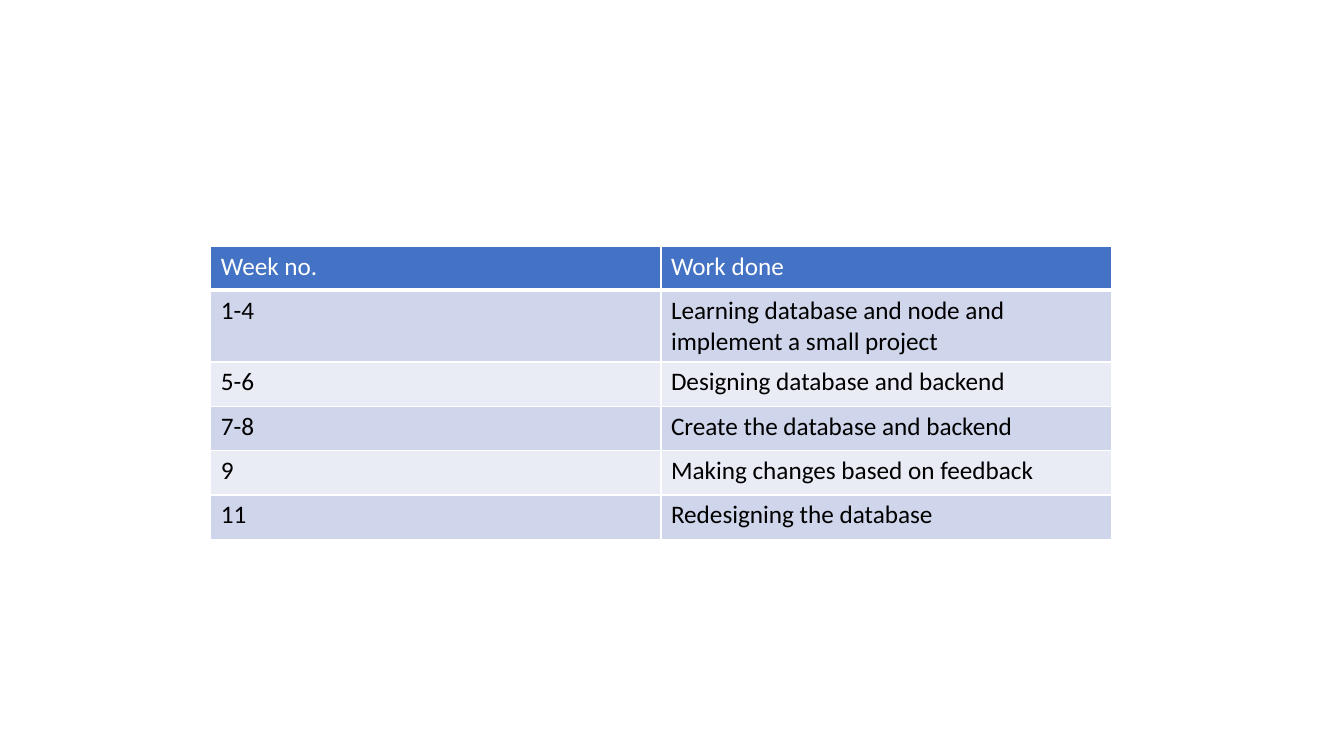
from dataclasses import dataclass

from lxml.etree import fromstring
from pptx import Presentation
from pptx.dml.color import RGBColor
from pptx.oxml.ns import nsdecls
from pptx.util import Inches, Pt


@dataclass(frozen=True)
class Theme:
    font: str = "Calibri"
    size: int = 18
    header_fill: str = "4472C4"
    header_text: str = "FFFFFF"
    band_fills: tuple = ("CFD5EA", "E9EBF5")
    body_text: str = "000000"
    border: str = "FFFFFF"
    border_width: float = 1
    header_rule_width: float = 3


THEME = Theme()
SCHEDULE = [
    ("Week no.", "Work done"),
    ("1-4", "Learning database and node and implement a small project"),
    ("5-6", "Designing database and backend"),
    ("7-8", "Create the database and backend"),
    ("9", "Making changes based on feedback"),
    ("11", "Redesigning the database"),
]
ROW_HEIGHT = 0.44
TWO_LINE_HEIGHT = 0.71
TWO_LINE_ROW = 1


def set_borders(cell, bottom_width):
    properties = cell._tc.get_or_add_tcPr()
    for position, side in enumerate("LRTB"):
        width = bottom_width if side == "B" else THEME.border_width
        line = fromstring(
            f'<a:ln{side} {nsdecls("a")} w="{Pt(width)}"><a:solidFill>'
            f'<a:srgbClr val="{THEME.border}"/></a:solidFill></a:ln{side}>'
        )
        properties.insert(position, line)


def style_cell(cell, text, row_index):
    is_header = row_index == 0
    fill = THEME.header_fill if is_header else THEME.band_fills[(row_index - 1) % 2]
    cell.fill.solid()
    cell.fill.fore_color.rgb = RGBColor.from_string(fill)
    set_borders(cell, THEME.header_rule_width if is_header else THEME.border_width)

    cell.text_frame.text = text
    font = cell.text_frame.paragraphs[0].runs[0].font
    font.name = THEME.font
    font.size = Pt(THEME.size)
    font.bold = False
    color = THEME.header_text if is_header else THEME.body_text
    font.color.rgb = RGBColor.from_string(color)


def add_schedule(page, left, top, width, height):
    frame = page.shapes.add_table(
        len(SCHEDULE), len(SCHEDULE[0]), left, top, width, height
    )
    table = frame.table
    for row_index, entries in enumerate(SCHEDULE):
        row_height = TWO_LINE_HEIGHT if row_index == TWO_LINE_ROW else ROW_HEIGHT
        table.rows[row_index].height = Inches(row_height)
        for column_index, text in enumerate(entries):
            style_cell(table.cell(row_index, column_index), text, row_index)


def main():
    deck = Presentation()
    deck.slide_width = Inches(13.33)
    deck.slide_height = Inches(7.5)
    page = deck.slides.add_slide(deck.slide_layouts[6])
    add_schedule(page, Inches(2.09), Inches(2.44), Inches(8.93), Inches(2.89))
    deck.save("out.pptx")


if __name__ == "__main__":
    main()
